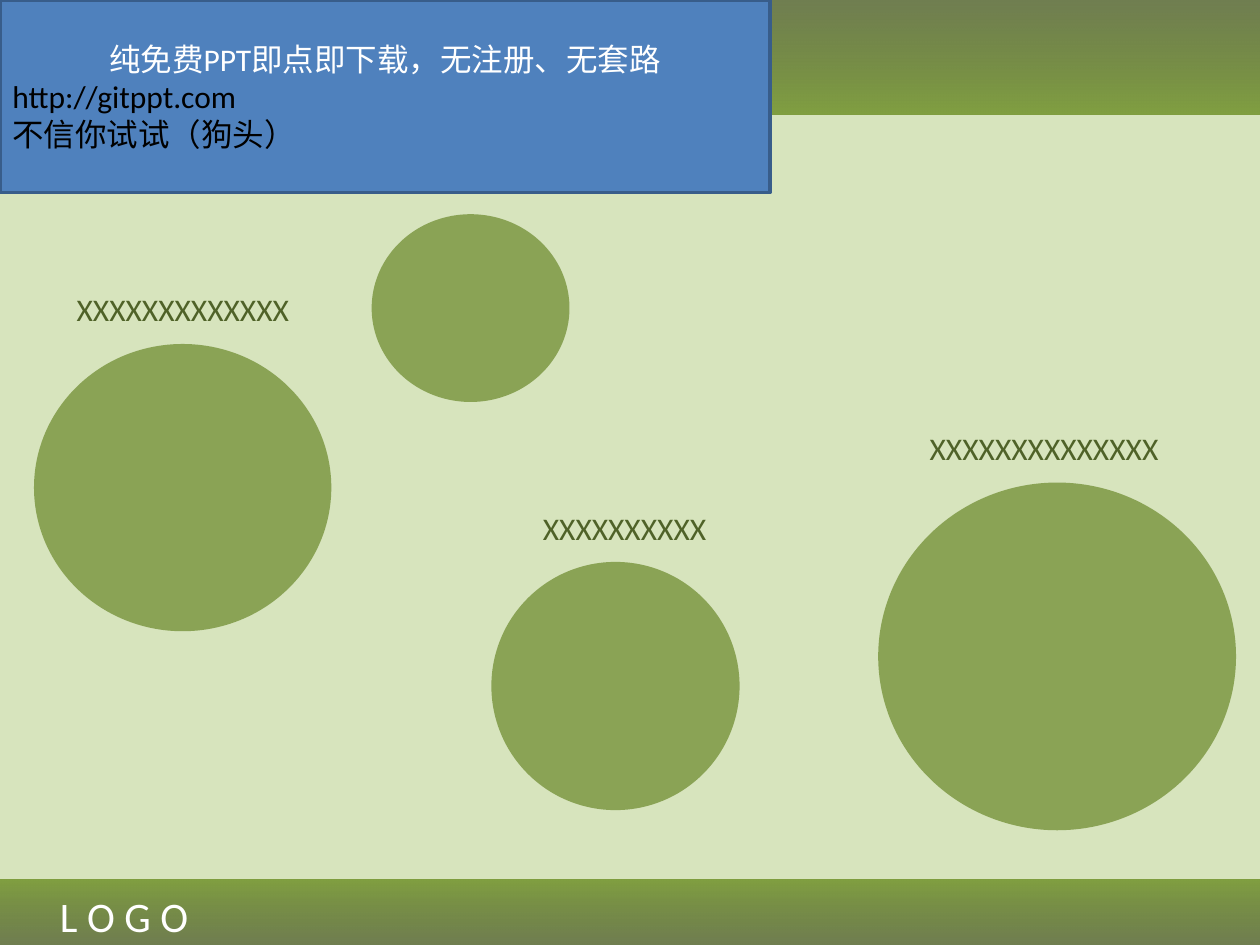
"""Build a green slide with four labelled circles and a notice box."""
import pptx
import pptx.dml.color
import pptx.enum.shapes
import pptx.enum.text
import pptx.oxml
import pptx.oxml.ns
import pptx.util
from dataclasses import dataclass

Inches = pptx.util.Inches
Pt = pptx.util.Pt
RGB = pptx.dml.color.RGBColor.from_string
Kind = pptx.enum.shapes.MSO_SHAPE
Align = pptx.enum.text.PP_ALIGN
Anchor = pptx.enum.text.MSO_ANCHOR


@dataclass
class Theme:
    font: str = "Calibri"
    pale: str = "D7E4BD"
    dark: str = "44571B"
    leaf: str = "799936"
    disc: str = "77933C"
    label: str = "4F6228"
    blue: str = "4F81BD"
    edge: str = "385D8A"
    white: str = "FFFFFF"
    black: str = "000000"
    body: int = 18
    logo: int = 24


theme = Theme()
deck = pptx.Presentation()
deck.slide_width, deck.slide_height = Inches(10), Inches(7.5)
slide = deck.slides.add_slide(deck.slide_layouts[6])


def draw(kind, box, tint, alphas=()):
    """Add a borderless shape; two tints make a gradient."""
    shape = slide.shapes.add_shape(kind, *map(Inches, box))
    shape.shadow.inherit = False
    shape.line.fill.background()
    if isinstance(tint, str):
        shape.fill.solid()
        shape.fill.fore_color.rgb = RGB(tint)
    else:
        shape.fill.gradient()
        for stop, hue in zip(shape.fill.gradient_stops, tint):
            stop.color.rgb = RGB(hue)
    hues = shape._element.spPr.iter(pptx.oxml.ns.qn("a:srgbClr"))
    for hue, alpha in zip(list(hues), alphas):
        node = pptx.oxml.parse_xml(f"<a:alpha {pptx.oxml.ns.nsdecls('a')}/>")
        node.set("val", str(alpha * 1000))
        hue.append(node)
    return shape


def write(shape, lines):
    """Fill a shape with lines of text, size, colour and alignment."""
    frame = shape.text_frame
    frame.word_wrap = True
    frame.text = "\n".join(line[0] for line in lines)
    for para, (text, size, tint, align) in zip(frame.paragraphs, lines):
        para.alignment = align
        para.font.name = theme.font
        para.font.size = Pt(size)
        para.font.color.rgb = RGB(tint)


draw(Kind.RECTANGLE, (0, 0.91, 10, 6.07), theme.pale)
for top, high, angle in [(6.98, 0.52, 90), (0, 0.91, 270)]:
    bar = draw(Kind.RECTANGLE, (0, top, 10, high), (theme.dark, theme.leaf), (76, 95))
    bar.fill.gradient_angle = angle

discs = [
    (0.27, 2.73, 2.36, 2.28),
    (2.95, 1.7, 1.57, 1.49),
    (6.97, 3.83, 2.84, 2.76),
    (3.9, 4.46, 1.97, 1.97),
]
for box in discs:
    draw(Kind.OVAL, box, theme.disc, (80,))

logo = slide.shapes.add_textbox(*map(Inches, (0.12, 7.02, 1.73, 0.5)))
write(logo, [("L O G O", theme.logo, theme.white, Align.CENTER)])

labels = [(0.51, 2.25, 13), (4.21, 3.99, 10), (7.28, 3.36, 14)]
for left, top, count in labels:
    label = slide.shapes.add_textbox(*map(Inches, (left, top, 2.05, 0.4)))
    write(label, [("X" * count, theme.body, theme.label, Align.LEFT)])

notice = draw(Kind.RECTANGLE, (0, 0, 6.11, 1.53), theme.blue)
notice.line.color.rgb = RGB(theme.edge)
notice.line.width = Pt(2)
notice.text_frame.vertical_anchor = Anchor.MIDDLE
write(notice, [
    ("纯免费PPT即点即下载，无注册、无套路", theme.body, theme.white, Align.CENTER),
    ("http://gitppt.com", theme.body, theme.black, Align.LEFT),
    ("不信你试试（狗头）", theme.body, theme.black, Align.LEFT),
])

deck.save("out.pptx")
